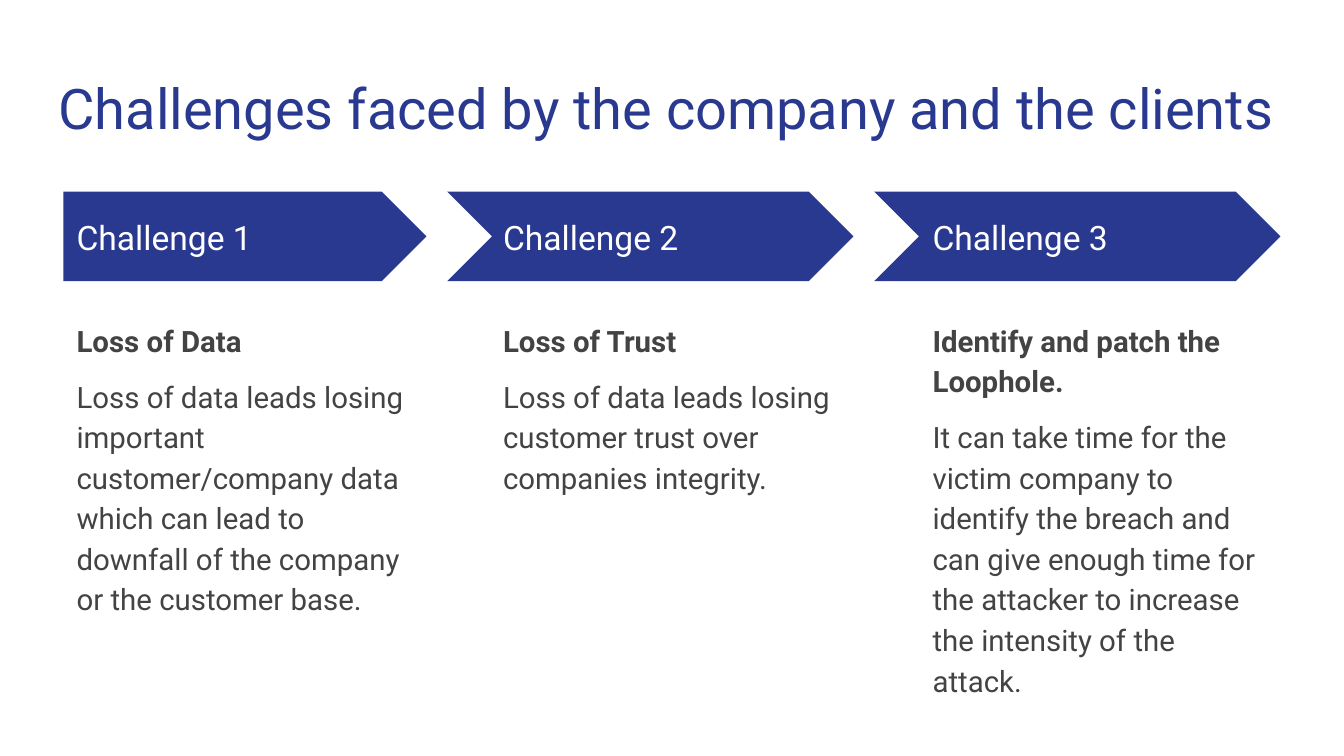
"""Build the slide on challenges faced by the company and the clients."""
from pptx import Presentation
from pptx.dml.color import RGBColor
from pptx.enum.shapes import MSO_SHAPE
from pptx.enum.text import MSO_ANCHOR
from pptx.util import Inches, Pt

TITLE = "Challenges faced by the company and the clients"
CHALLENGES = [
    ("Challenge 1", "Loss of Data",
     "Loss of data leads losing important customer/company data which can "
     "lead to downfall of the company or the customer base."),
    ("Challenge 2", "Loss of Trust",
     "Loss of data leads losing customer trust over companies integrity."),
    ("Challenge 3", "Identify and patch the Loophole.",
     "It can take time for the victim company to identify the breach and can "
     "give enough time for the attacker to increase the intensity of the attack."),
]
TEXT_LEFTS = [0.63, 4.86, 9.12]

FONT = "Roboto"
BLUE = RGBColor(0x2A, 0x39, 0x90)
GREY = RGBColor(0x43, 0x43, 0x43)
WHITE = RGBColor(0xFF, 0xFF, 0xFF)
PENTAGON, CHEVRON = MSO_SHAPE.PENTAGON, MSO_SHAPE.CHEVRON
TOP, MIDDLE = MSO_ANCHOR.TOP, MSO_ANCHOR.MIDDLE

MARGIN = 0.63
COLUMN_W = 3.6
CHEVRON_W = 4.03
PITCH = 4.235
ARROW_TOP, ARROW_H = 1.9, 0.89
INSET = Inches(0.13)


def add_text(s, box, lines, size, color, anchor=TOP):
    """Add a wrapped text box with one paragraph per line."""
    tf = s.shapes.add_textbox(*map(Inches, box)).text_frame
    tf.word_wrap = True
    tf.vertical_anchor = anchor
    tf.margin_left = tf.margin_right = tf.margin_top = tf.margin_bottom = INSET
    tf.text = "\n".join(lines)
    for p in tf.paragraphs:
        font = p.runs[0].font
        font.name, font.size = FONT, Pt(size)
        font.color.rgb = color
    return tf


def add_arrow(s, index):
    """Add the arrow of one column, a pentagon first and chevrons after it."""
    kind, width = (CHEVRON, CHEVRON_W) if index else (PENTAGON, COLUMN_W)
    left = MARGIN + COLUMN_W + index * PITCH - width
    sp = s.shapes.add_shape(kind, Inches(left), Inches(ARROW_TOP),
                            Inches(width), Inches(ARROW_H))
    sp.adjustments[0] = 0.5
    sp.shadow.inherit = False
    sp.fill.solid()
    sp.fill.fore_color.rgb = BLUE
    sp.line.fill.background()


def add_details(s, left, heading, detail):
    """Add the bold heading and the detail paragraph of one column."""
    tf = add_text(s, (left, 3.02, COLUMN_W, 3.87), [heading, detail], 21, GREY)
    head, body = tf.paragraphs
    head.line_spacing = body.line_spacing = 1.15
    head.runs[0].font.bold = True
    body.space_before = body.space_after = Pt(11)


def main():
    """Lay out the title and the three columns."""
    prs = Presentation()
    prs.slide_width, prs.slide_height = Inches(13.33), Inches(7.5)
    s = prs.slides.add_slide(prs.slide_layouts[6])
    add_text(s, (0.45, 0.6, 12.42, 0.89), [TITLE], 40, BLUE)
    for i, (left, (label, heading, detail)) in enumerate(zip(TEXT_LEFTS, CHALLENGES)):
        add_arrow(s, i)
        add_text(s, (left, 2.12, 3.29, 0.46), [label], 24, WHITE, MIDDLE)
        add_details(s, left, heading, detail)
    prs.save("out.pptx")


if __name__ == "__main__":
    main()
